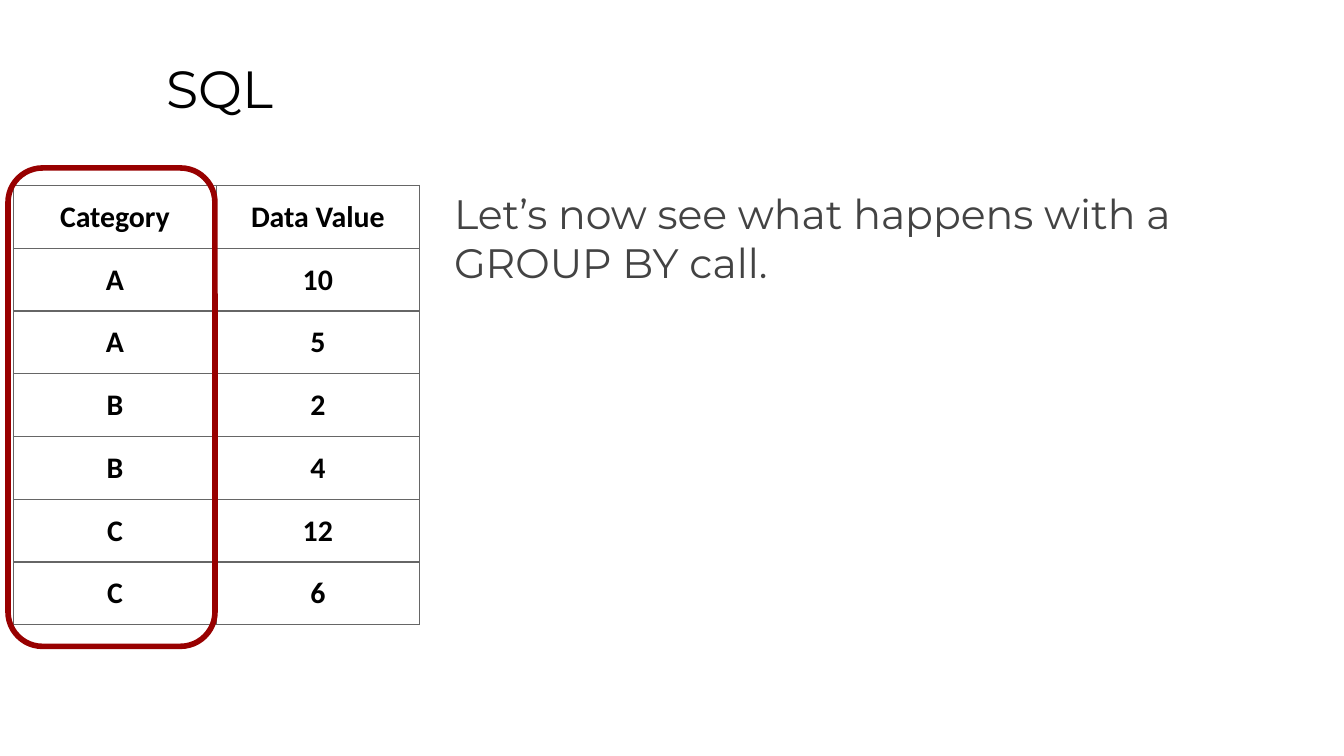
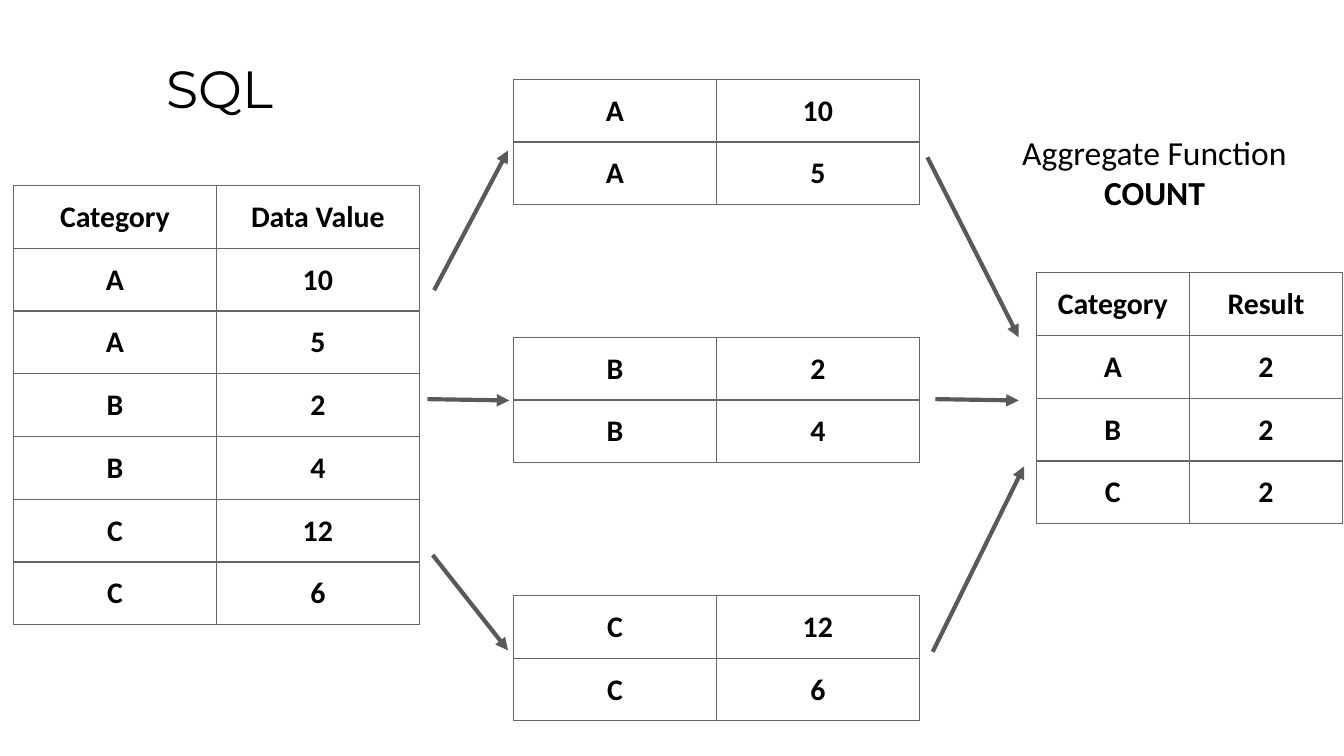
from dataclasses import dataclass

from lxml.etree import SubElement
from pptx import Presentation
from pptx.dml.color import RGBColor
from pptx.enum.shapes import MSO_CONNECTOR, MSO_SHAPE
from pptx.enum.text import MSO_ANCHOR, PP_ALIGN
from pptx.oxml.ns import qn
from pptx.util import Inches, Pt


@dataclass(frozen=True)
class Theme:
    ink: str = "000000"
    body: str = "434343"
    border: str = "666666"
    arrow: str = "595959"
    accent: str = "980000"
    heading_font: str = "Montserrat"
    table_font: str = "Calibri"
    title_size: float = 28
    body_size: float = 22
    label_size: float = 18
    cell_size: float = 16
    border_width: float = 0.75
    arrow_width: float = 2.25
    accent_width: float = 3


theme = Theme()

# Grid: ten columns across, square units down, on a 16:9 slide
COLUMNS = 10
ROWS = COLUMNS * 9 / 16
UNIT = Inches(1)
INSET = int(0.1 * UNIT)
SIDES = ("left", "top", "right", "bottom")
TABLE_FRAME = 3.28
ROW_HEIGHT = 0.42
WIDE, NARROW = 1.51, 1.14

deck = Presentation()
deck.slide_width = int(COLUMNS * UNIT)
deck.slide_height = int(ROWS * UNIT)


def write(holder, lines, font, size, color, align=PP_ALIGN.LEFT):
    """Fill a text box or a cell with (text, bold) lines."""
    frame = holder.text_frame
    for index, (text, bold) in enumerate(lines):
        para = frame.paragraphs[0] if index == 0 else frame.add_paragraph()
        para.alignment = align
        span = para.add_run()
        span.text = text
        for name, value in {"name": font, "size": Pt(size), "bold": bold}.items():
            setattr(span.font, name, value)
        span.font.color.rgb = RGBColor.from_string(color)
    # A cell keeps its own margins; a box keeps them in its frame
    margin_owner = holder if hasattr(holder, "is_merge_origin") else frame
    margin_owner.vertical_anchor = MSO_ANCHOR.TOP
    for side in SIDES:
        setattr(margin_owner, "margin_" + side, INSET)
    if margin_owner is frame:
        frame.word_wrap = True


def add_grid(page, left, top, column_width, records):
    """Add a plain bordered table with equal columns and rows."""
    table = page.shapes.add_table(
        len(records), len(records[0]),
        *(int(n * UNIT) for n in (left, top, TABLE_FRAME, TABLE_FRAME))).table
    table.first_row = table.horz_banding = False
    for column in table.columns:
        column.width = int(column_width * UNIT)
    for row, record in zip(table.rows, records):
        row.height = int(ROW_HEIGHT * UNIT)
        for cell, text in zip(row.cells, record):
            write(cell, [(text, True)], theme.table_font,
                  theme.cell_size, theme.ink, PP_ALIGN.CENTER)
            properties = cell._tc.get_or_add_tcPr()
            for edge in ("a:lnL", "a:lnR", "a:lnT", "a:lnB"):
                line = SubElement(properties, qn(edge), w=str(Pt(theme.border_width)))
                fill = SubElement(line, qn("a:solidFill"))
                SubElement(fill, qn("a:srgbClr"), val=theme.border)
            cell.fill.background()


# Data shown on both slides
records = [("A", "10"), ("A", "5"), ("B", "2"), ("B", "4"), ("C", "12"), ("C", "6")]
categories = sorted({category for category, _ in records})
groups = [[record for record in records if record[0] == category]
          for category in categories]
counts = [(category, str(len(group))) for category, group in zip(categories, groups)]

# Shared title and source table
pages = [deck.slides.add_slide(deck.slide_layouts[6]) for _ in range(2)]
for page in pages:
    box = page.shapes.add_textbox(*(int(n * UNIT) for n in (1.14, 0.32, 8.52, 0.63)))
    write(box, [("SQL", False)], theme.heading_font, theme.title_size, theme.ink)
    add_grid(page, 0.1, 1.38, WIDE, [("Category", "Data Value")] + records)
question, grouping = pages

# Slide 1: outline around the grouping column
outline = question.shapes.add_shape(
    MSO_SHAPE.ROUNDED_RECTANGLE, *(int(n * UNIT) for n in (0.06, 1.25, 1.54, 3.56)))
outline.shadow.inherit = False
outline.fill.background()
outline.line.color.rgb = RGBColor.from_string(theme.accent)
outline.line.width = Pt(theme.accent_width)

# Slide 1: statement
box = question.shapes.add_textbox(*(int(n * UNIT) for n in (3.28, 1.3, 6.48, 3.88)))
write(box, [("Let’s now see what happens with a GROUP BY call.", False)],
      theme.heading_font, theme.body_size, theme.body)

# Slide 2: one table per group
for index, group in enumerate(groups):
    add_grid(grouping, 3.82, 0.59 + index * 1.92, WIDE, group)

# Slide 2: the result of the grouping
add_grid(grouping, 7.71, 2.03, NARROW, [("Category", "Result")] + counts)

# Slide 2: arrows that split the source and combine the groups
split = [(3.23, 2.16, 3.78, 1.12), (3.18, 2.97, 3.79, 2.98), (3.22, 4.13, 3.78, 4.84)]
combine = [(6.96, 2.97, 7.58, 2.98), (6.9, 1.17, 7.58, 2.51), (6.94, 4.85, 7.62, 3.47)]
for ends in split + combine:
    arrow = grouping.shapes.add_connector(
        MSO_CONNECTOR.STRAIGHT, *(int(n * UNIT) for n in ends))
    arrow.line.color.rgb = RGBColor.from_string(theme.arrow)
    arrow.line.width = Pt(theme.arrow_width)
    SubElement(arrow.line._get_or_add_ln(), qn("a:tailEnd"), type="triangle")
    SubElement(arrow._element.spPr, qn("a:effectLst"))

# Slide 2: aggregate label
box = grouping.shapes.add_textbox(*(int(n * UNIT) for n in (7.18, 0.88, 2.82, 0.71)))
write(box, [("Aggregate Function", False), ("COUNT", True)],
      theme.table_font, theme.label_size, theme.ink, PP_ALIGN.CENTER)

deck.save("out.pptx")
